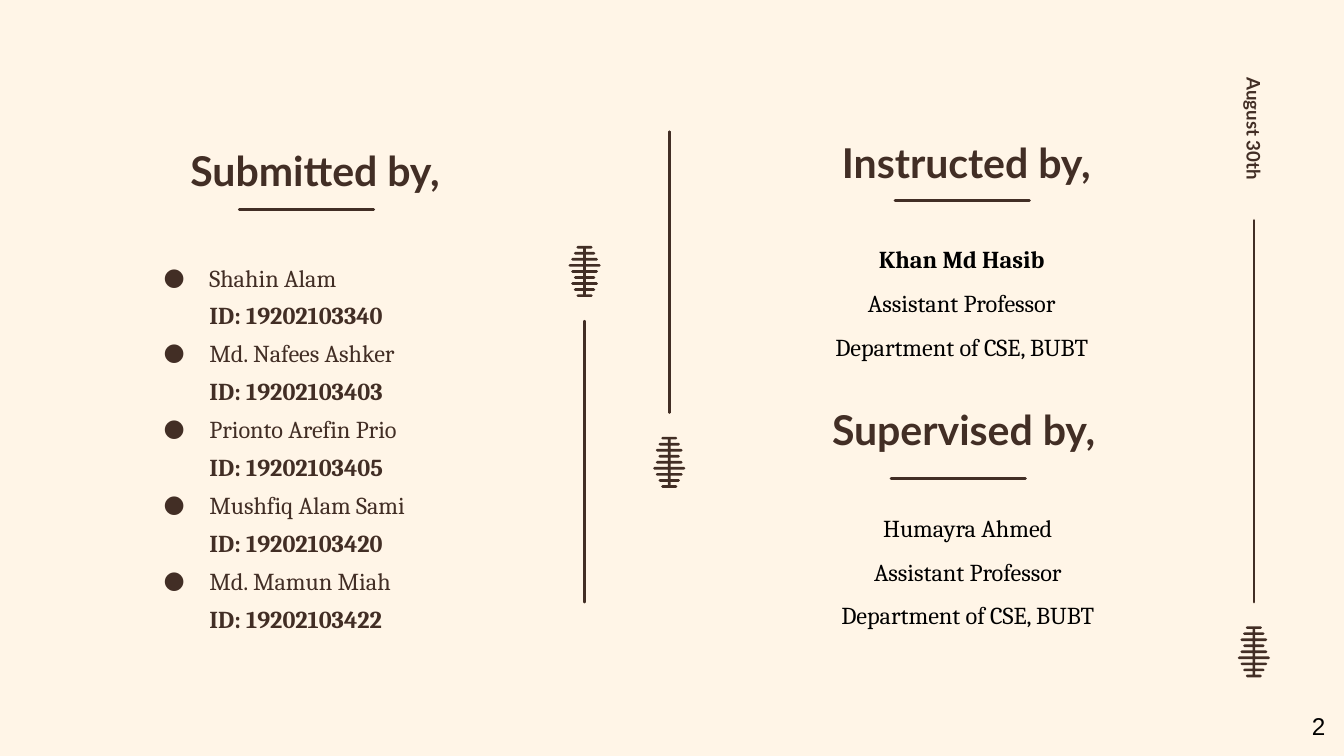
import pptx
import pptx.util
import pptx.dml.color
import pptx.enum.shapes
import pptx.enum.text
import pptx.oxml
import pptx.oxml.ns
from pptx.util import Inches

COLORS = {"paper": "FFF5E7", "brown": "422E25", "black": "000000"}
ALIGN = pptx.enum.text.PP_ALIGN
ANCHOR = pptx.enum.text.MSO_ANCHOR

STUDENTS = [
    ("Shahin Alam", "19202103340"),
    ("Md. Nafees Ashker", "19202103403"),
    ("Prionto Arefin Prio", "19202103405"),
    ("Mushfiq Alam Sami", "19202103420"),
    ("Md. Mamun Miah", "19202103422"),
]
POST = ["Assistant Professor", "Department of CSE, BUBT"]

# Half-widths of the leaf's bars, from the stem's end to its tip
LEAF_BARS = [0.06, 0.08, 0.1, 0.08, 0.1, 0.12, 0.1, 0.08, 0.06]
LEAF_HEIGHT = 0.36


def rgb(name):
    return pptx.dml.color.RGBColor.from_string(COLORS[name])


def add_text(slide, box, lines, size, font, color, align=ALIGN.LEFT,
             anchor=ANCHOR.TOP, spacing=None):
    """Place (text, bold) lines in a box and return the shape."""
    shape = slide.shapes.add_textbox(*map(Inches, box))
    frame = shape.text_frame
    frame.word_wrap = True
    frame.vertical_anchor = anchor
    frame.margin_left = frame.margin_right = Inches(0.1)
    frame.margin_top = frame.margin_bottom = Inches(0.1)
    for i, (text, bold) in enumerate(lines):
        paragraph = frame.paragraphs[0] if i == 0 else frame.add_paragraph()
        paragraph.text = text
        paragraph.alignment = align
        if spacing:
            paragraph.line_spacing = spacing
        paragraph.font.size = pptx.util.Pt(size)
        paragraph.font.name = font
        paragraph.font.bold = bold
        paragraph.font.color.rgb = rgb(color)
    return shape


def add_heading(slide, box, text):
    add_text(slide, box, [(text, True)], 22, "Lato", "brown",
             ALIGN.CENTER, ANCHOR.BOTTOM)


def add_rule(slide, x1, y1, x2, y2):
    rule = slide.shapes.add_connector(
        pptx.enum.shapes.MSO_CONNECTOR.STRAIGHT, *map(Inches, (x1, y1, x2, y2)))
    rule.line.color.rgb = rgb("brown")
    rule.line.width = pptx.util.Pt(1.5)
    properties = rule._element.spPr
    properties.find(pptx.oxml.ns.qn("a:ln")).set("cap", "rnd")
    properties.append(pptx.oxml.parse_xml(
        f"<a:effectLst {pptx.oxml.ns.nsdecls('a')}/>"))


def add_leaf(slide, x, y, bars):
    """Draw a stem crossed by round-ended bars, centred on (x, y)."""
    stem, half, tip = 0.01, 0.01, 0.01
    step = LEAF_HEIGHT / (len(bars) - 1)
    right = []
    for i, width in enumerate(bars):
        bar_y = i * step - LEAF_HEIGHT / 2
        right += [(stem, bar_y - half), (width - tip, bar_y - half),
                  (width, bar_y), (width - tip, bar_y + half),
                  (stem, bar_y + half)]
    outline = right + [(-dx, dy) for dx, dy in reversed(right)]
    points = [(Inches(x + dx), Inches(y + dy)) for dx, dy in outline]
    builder = slide.shapes.build_freeform(*points[0])
    builder.add_line_segments(points[1:])
    leaf = builder.convert_to_shape()
    leaf.shadow.inherit = False
    leaf.fill.solid()
    leaf.fill.fore_color.rgb = rgb("brown")
    leaf.line.fill.background()


def add_stem(slide, x, top, bottom, leaf_on_top=False):
    """Draw a vertical rule with a leaf beyond one end."""
    add_rule(slide, x, top, x, bottom)
    if leaf_on_top:
        add_leaf(slide, x, top - 0.37, LEAF_BARS[::-1])
    else:
        add_leaf(slide, x, bottom + 0.37, LEAF_BARS)


def add_bullet(paragraph):
    """Put a bullet of the text's own size before a paragraph."""
    namespace = pptx.oxml.ns.nsdecls("a")
    previous = paragraph._p.pPr.find(pptx.oxml.ns.qn("a:lnSpc"))
    for tag in (f'a:buClr {namespace}><a:srgbClr val="{COLORS["brown"]}"/></a:buClr',
                f'a:buSzPts {namespace} val="1300"/',
                f'a:buFont {namespace} typeface="Cambria"/',
                f'a:buChar {namespace} char="●"/'):
        element = pptx.oxml.parse_xml(f"<{tag}>")
        previous.addnext(element)
        previous = element


def add_students(slide, left, top, width):
    add_heading(slide, (left, top, width, 0.64), "Submitted by,")
    add_rule(slide, left + 0.82, top + 0.65, left + 1.82, top + 0.65)
    lines = []
    for name, number in STUDENTS:
        lines += [(name, False), (f"ID: {number}", True)]
    roster = add_text(slide, (left, top + 0.88, width, 2.92), lines,
                      13, "Cambria", "brown", spacing=1.3)
    # Bulleted names, with the IDs indented below them
    for i, paragraph in enumerate(roster.text_frame.paragraphs):
        is_name = i % 2 == 0
        properties = paragraph._p.get_or_add_pPr()
        properties.set("marL", str(Inches(0.5)))
        properties.set("indent", str(Inches(-0.34 if is_name else 0)))
        if is_name:
            add_bullet(paragraph)


def add_teacher(slide, left, top, role, name, bold, rule_at, details_box):
    """Place a role heading, its rule and the teacher's details."""
    add_heading(slide, (left, top, 3, 0.5), role)
    x, y = left + rule_at[0], top + rule_at[1]
    add_rule(slide, x, y, x + 1, y)
    dx, dy, width, height = details_box
    lines = [(name, bold)] + [(line, False) for line in POST]
    add_text(slide, (left + dx, top + dy, width, height), lines,
             13, "Cambria", "black", ALIGN.CENTER, spacing=1.5)


def add_margin(slide, x):
    """Place the date, the long stem and the page number."""
    add_stem(slide, x, 1.64, 4.48)
    date = add_text(slide, (x - 0.6, 0.93, 1.2, 0.3), [("August 30th", True)],
                    10, "Lato", "brown", anchor=ANCHOR.MIDDLE)
    date.rotation = 90
    add_text(slide, (x + 0.03, 5.19, 0.6, 0.43), [("2", False)],
             13, "Arial", "black", ALIGN.RIGHT)


def main():
    deck = pptx.Presentation()
    deck.slide_width = Inches(10)
    deck.slide_height = deck.slide_width * 9 // 16
    slide = deck.slides.add_slide(deck.slide_layouts[6])
    slide.background.fill.solid()
    slide.background.fill.fore_color.rgb = rgb("paper")

    add_margin(slide, 9.33)
    add_students(slide, 0.96, 0.91, 2.77)
    # Divider between the two columns
    add_stem(slide, 4.35, 2.39, 4.48, leaf_on_top=True)
    add_stem(slide, 4.98, 0.98, 3.07)
    add_teacher(slide, 5.69, 0.99, "Instructed by,", "Khan Md Hasib", True,
                (0.97, 0.5), (0.1, 0.62, 2.73, 0.75))
    add_teacher(slide, 5.67, 2.98, "Supervised by,", "Humayra Ahmed", False,
                (0.96, 0.58), (0.17, 0.63, 2.72, 1.02))
    deck.save("out.pptx")


if __name__ == "__main__":
    main()
